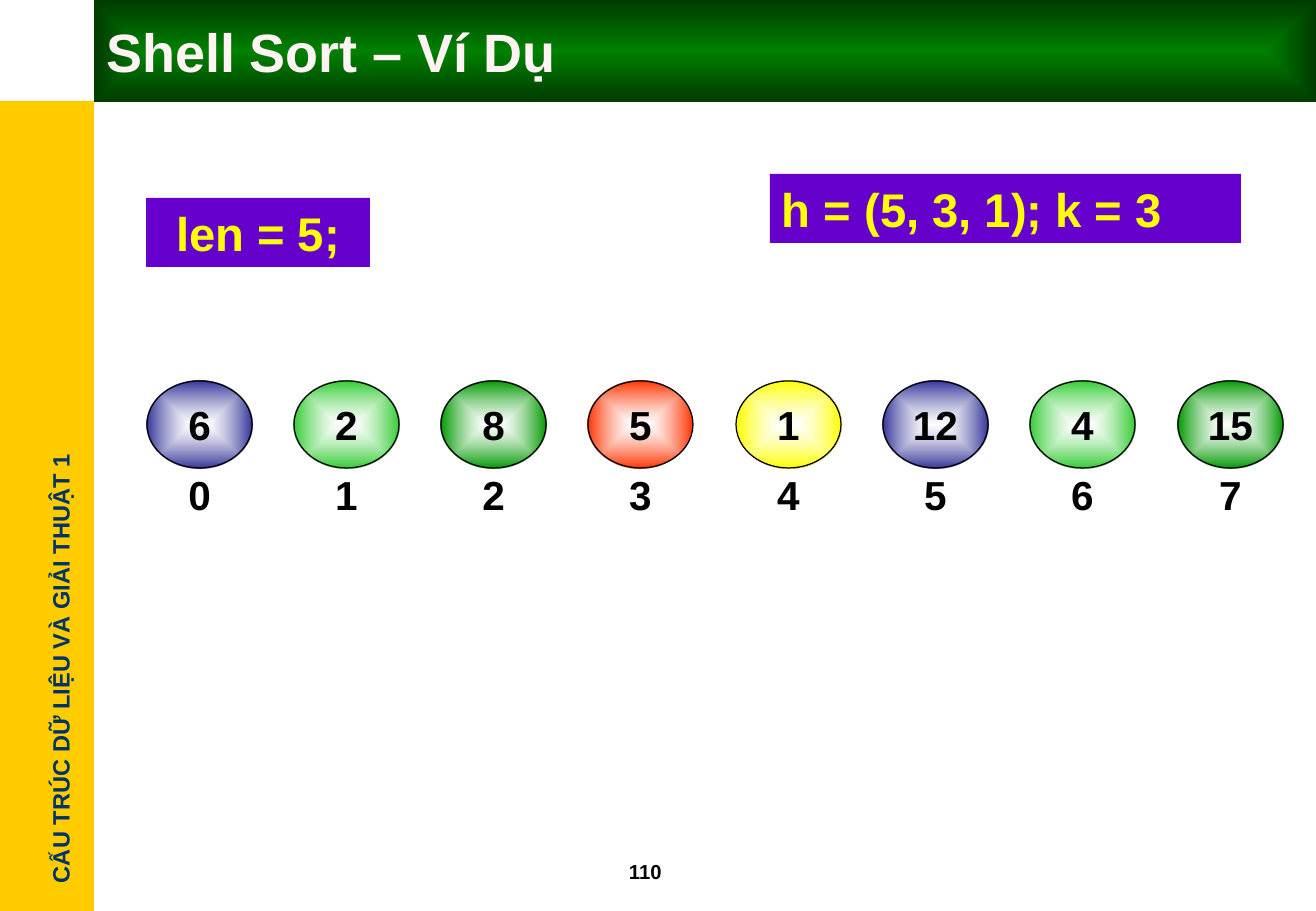
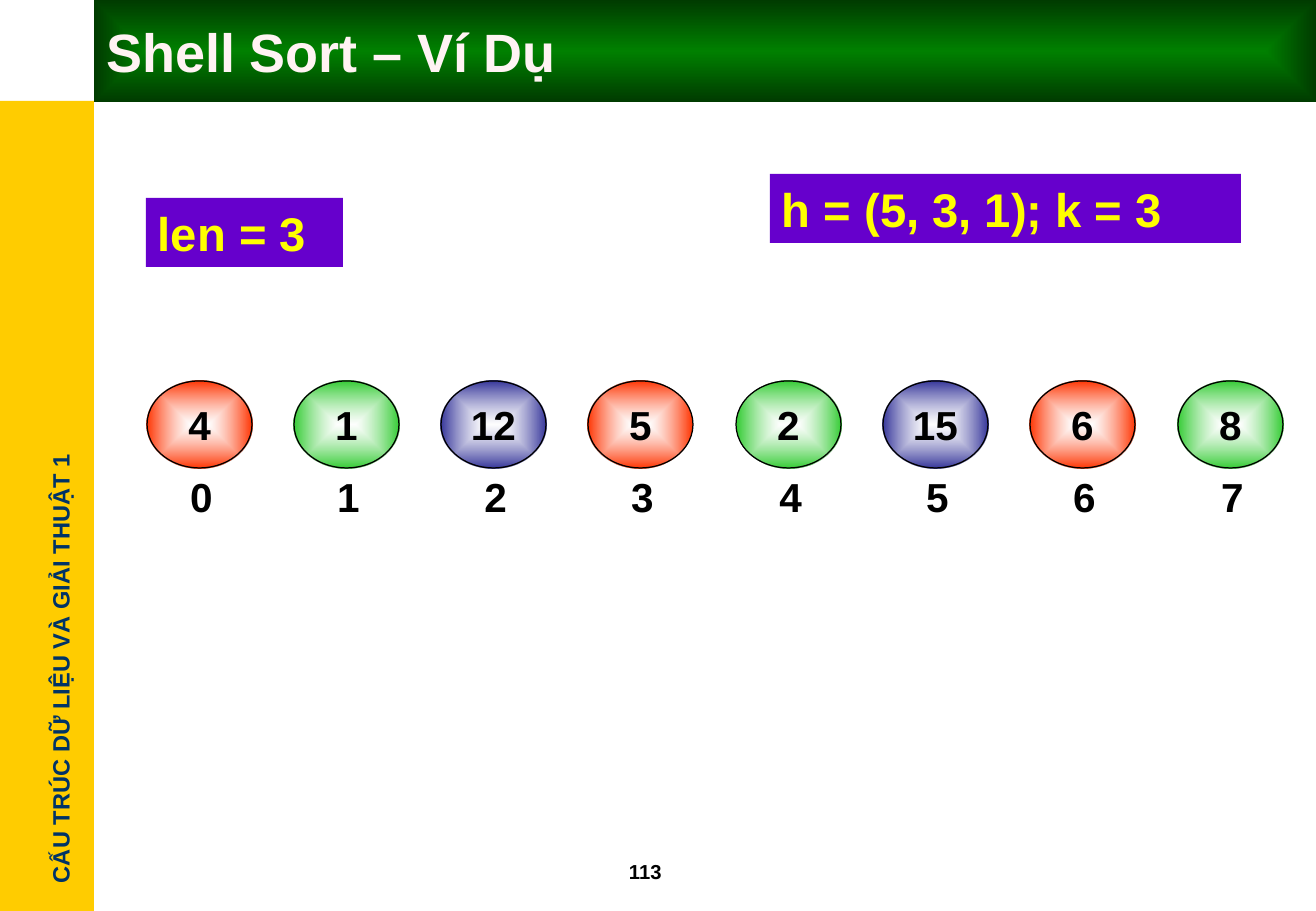
from dataclasses import dataclass

from pptx import Presentation
from pptx.dml.color import RGBColor
from pptx.enum.shapes import MSO_SHAPE as Shape
from pptx.enum.text import MSO_ANCHOR as Anchor, PP_ALIGN as Align
from pptx.oxml import parse_xml
from pptx.oxml.ns import nsdecls
from pptx.util import Emu, Pt

PX = 7532
WIDTH, HEIGHT = 1316, 911
SIDEBAR, HEADER = 94, 101
ROW_LEFT, ROW_SPAN, ROW_TOP = 147, 1031, 381
OVAL_WIDTH, OVAL_HEIGHT = 105, 87


@dataclass(frozen=True)
class Theme:
    font: str = "Arial"
    title_size: int = 32
    box_size: int = 28
    value_size: int = 24
    caption_size: int = 14
    number_size: int = 12
    ink: str = "000000"
    white: str = "FFFFFF"
    title: str = "FFF3F3"
    header_core: str = "008000"
    header_edge: str = "003B00"
    sidebar: str = "FFCC00"
    caption: str = "003366"
    box: str = "6600CC"
    box_text: str = "FFFF00"
    blue: str = "333399"
    lime: str = "33CC33"
    green: str = "009900"
    red: str = "FF3300"
    yellow: str = "FFFF00"


class Deck:
    def __init__(self, theme):
        self.theme = theme
        self.show = Presentation()
        self.show.slide_width, self.show.slide_height = Emu(WIDTH * PX), Emu(HEIGHT * PX)
        self.layout = self.show.slide_layouts[5]
        for footer in list(self.layout.placeholders)[1:]:
            footer._element.getparent().remove(footer._element)
        self.slide = None

    def start(self, title, number):
        first = self.slide is None
        self.slide = self.show.slides.add_slide(self.layout)
        if first:
            self.frame()
        self.title(title)
        self.text_box(str(number), (617, 853, 101, 36), self.theme.number_size, self.theme.ink)

    def frame(self):
        theme = self.theme
        sidebar = self.shape(Shape.RECTANGLE, (0, HEADER, SIDEBAR, HEIGHT - HEADER), theme.sidebar)
        caption = self.text_box("CẤU TRÚC DỮ LIỆU VÀ GIẢI THUẬT 1", (-166, 648, 453, 41),
                                theme.caption_size, theme.caption, wrap=False)
        caption.rotation = 270
        for part in (sidebar, caption):
            self.layout.shapes._spTree.append(part._element)

    def title(self, text):
        theme, header = self.theme, self.slide.shapes.title
        self.place(header, (SIDEBAR, 0, WIDTH - SIDEBAR, HEADER + 1))
        self.glow(header, theme.header_core, theme.header_edge)
        self.label(header, text, theme.title_size, theme.title, anchor=Anchor.MIDDLE)

    def place(self, shape, box):
        for side, length in zip(("left", "top", "width", "height"), box):
            setattr(shape, side, Emu(length * PX))

    def label(self, shape, text, size, color, align=Align.LEFT, anchor=Anchor.TOP, wrap=True):
        frame = shape.text_frame
        frame.text = text
        for name, value in {"word_wrap": wrap, "vertical_anchor": anchor}.items():
            setattr(frame, name, value)
        paragraph = frame.paragraphs[0]
        paragraph.alignment = align
        font = paragraph.runs[0].font
        for name, value in {"name": self.theme.font, "size": Pt(size), "bold": True}.items():
            setattr(font, name, value)
        font.color.rgb = RGBColor.from_string(color)

    def glow(self, shape, core, edge, opacity=100):
        shape.fill.background()
        properties = shape._element.spPr
        gradient = parse_xml(
            f'<a:gradFill {nsdecls("a")} rotWithShape="1"><a:gsLst>'
            f'<a:gs pos="0"><a:srgbClr val="{core}"><a:alpha val="{opacity * 1000}"/></a:srgbClr></a:gs>'
            f'<a:gs pos="100000"><a:srgbClr val="{edge}"/></a:gs></a:gsLst>'
            '<a:path path="rect"><a:fillToRect l="50000" t="50000" r="50000" b="50000"/></a:path>'
            '</a:gradFill>')
        properties.replace(properties.noFill, gradient)

    def shape(self, preset, box, fill=None, shapes=None):
        shapes = self.slide.shapes if shapes is None else shapes
        shape = shapes.add_shape(preset, *(Emu(length * PX) for length in box))
        shape.shadow.inherit = False
        shape.line.fill.background()
        if fill:
            shape.fill.solid()
            shape.fill.fore_color.rgb = RGBColor.from_string(fill)
        else:
            shape.fill.background()
        return shape

    def text_box(self, text, box, size, color, **layout):
        shape = self.slide.shapes.add_textbox(*(Emu(length * PX) for length in box))
        self.label(shape, text, size, color, **layout)
        return shape

    def formula(self, text, left, top, width, align=Align.LEFT):
        theme = self.theme
        panel = self.shape(Shape.RECTANGLE, (left, top, width, 69), theme.box)
        self.label(panel, text, theme.box_size, theme.box_text, align)

    def row_cell(self, position, count, shift, drop):
        left = ROW_LEFT + ROW_SPAN * position // (count - 1) + shift
        return left, ROW_TOP + drop, OVAL_WIDTH, OVAL_HEIGHT

    def values(self, values, colors):
        theme = self.theme
        for position, value in enumerate(values):
            cell = self.row_cell(position, len(values), 0, 0)
            oval = self.shape(Shape.OVAL, cell)
            self.glow(oval, theme.white, colors[position % len(colors)], 61)
            oval.line.color.rgb = RGBColor.from_string(theme.ink)
            oval.line.width = Pt(0.75)
            self.label(oval, str(value), theme.value_size, theme.ink, Align.CENTER)

    def indexes(self, count, shift):
        row = self.slide.shapes.add_group_shape()
        for position in range(count):
            cell = self.row_cell(position, count, shift, 70 + shift)
            index = self.shape(Shape.OVAL, cell, shapes=row.shapes)
            self.label(index, str(position), self.theme.value_size, self.theme.ink, Align.CENTER)


def main():
    theme = Theme()
    deck = Deck(theme)
    steps = [
        (110, "len = 5;", 224, Align.CENTER, (6, 2, 8, 5, 1, 12, 4, 15),
         (theme.blue, theme.lime, theme.green, theme.red, theme.yellow), 0),
        (113, "len = 3", 197, Align.LEFT, (4, 1, 12, 5, 2, 15, 6, 8),
         (theme.red, theme.lime, theme.blue), 2),
    ]
    for number, gap, gap_width, gap_align, values, colors, index_shift in steps:
        deck.start("Shell Sort – Ví Dụ", number)
        deck.values(values, colors)
        deck.indexes(len(values), index_shift)
        deck.formula("h = (5, 3, 1); k = 3", 770, 174, 471)
        deck.formula(gap, 146, 198, gap_width, gap_align)
    deck.show.save("out.pptx")


if __name__ == "__main__":
    main()
